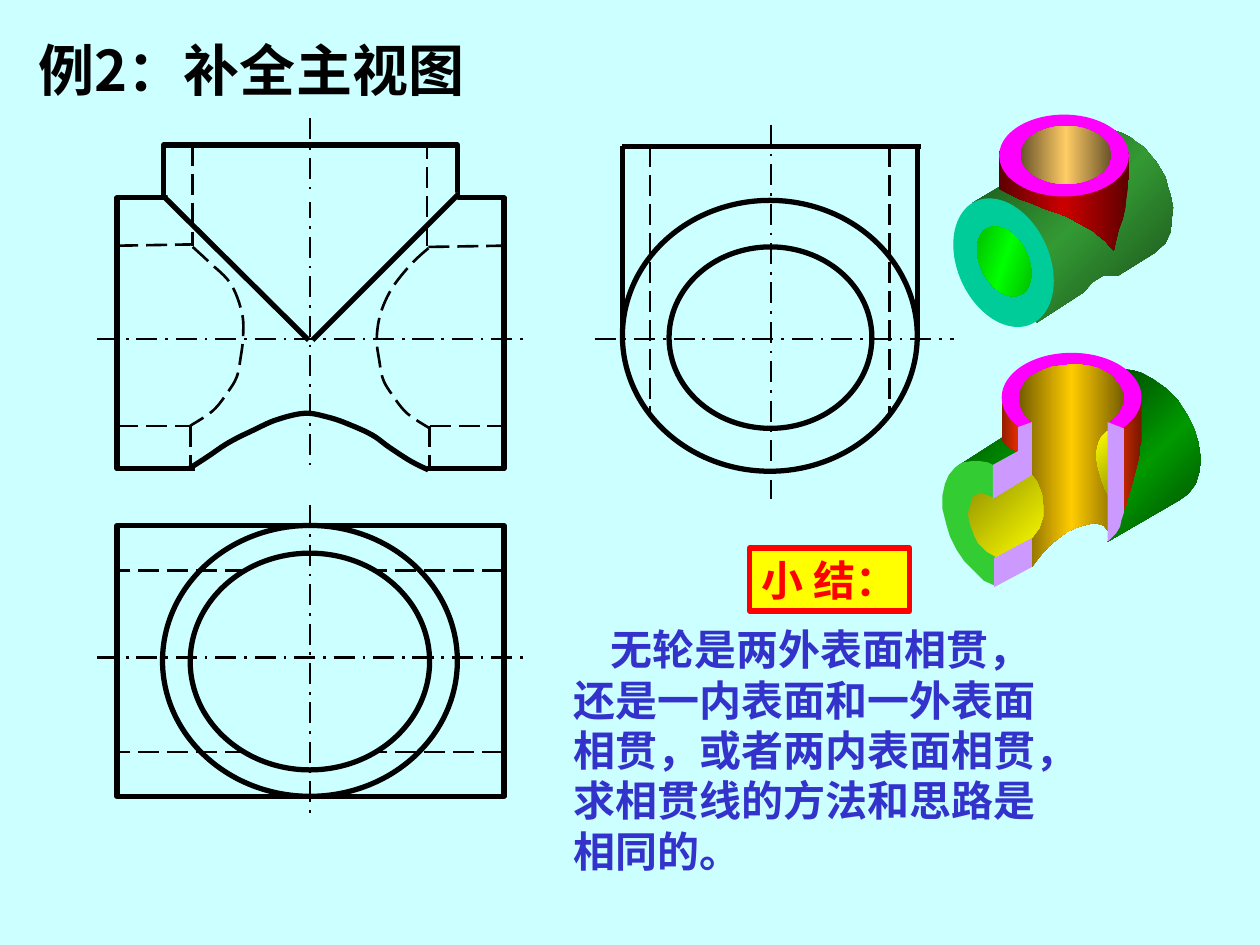
from copy import deepcopy

from pptx import Presentation
from pptx.dml.color import RGBColor
from pptx.enum.dml import MSO_LINE
from pptx.enum.shapes import MSO_CONNECTOR, MSO_SHAPE
from pptx.enum.text import MSO_ANCHOR, PP_ALIGN
from pptx.oxml.ns import qn
from pptx.util import Inches, Pt

COLORS = {
    "background": "CCFFFF", "black": "000000", "blue": "3333CC", "red": "FF0000",
    "yellow": "FFFF00", "magenta": "FF00FF", "teal": "00CC99", "green": "33CC33",
    "lilac": "CC99FF", "pipe": "339933", "pipe_dark": "184718", "branch": "CC0000",
    "branch_dark": "5E0000", "sand": "FFCC66", "sand_dark": "69542A", "lime": "00FF00",
    "lime_dark": "00A800", "leaf": "009900", "leaf_mid": "005E00", "leaf_dark": "004700",
    "orange": "FF3300", "orange_mid": "901D00", "orange_dark": "761800", "gold": "FFCC00",
    "gold_dark": "765E00", "olive": "8A8A00", "olive_light": "A2A200",
}
CJK_FONT = "Noto Sans CJK SC"
DASH, AXIS = MSO_LINE.LONG_DASH, MSO_LINE.LONG_DASH_DOT

AXES = [
    (6.12, 0.99, 6.12, 3.96), (0.77, 5.22, 4.19, 5.22), (0.77, 2.69, 4.19, 2.69),
    (2.46, 0.94, 2.46, 3.72), (2.46, 4.01, 2.46, 6.45), (4.72, 2.69, 7.57, 2.69),
]
HIDDEN_EDGES = [
    (1.53, 1.15, 1.53, 1.95), (3.39, 1.95, 3.39, 1.16), (1.51, 3.38, 1.51, 3.74),
    (3.41, 3.38, 3.41, 3.74), (0.93, 3.38, 1.51, 3.38), (3.41, 3.38, 3.99, 3.38),
    (0.93, 1.95, 1.52, 1.94), (3.4, 1.96, 3.99, 1.95), (5.16, 1.16, 5.16, 3.31),
    (7.06, 1.16, 7.06, 3.31),
] + [(x, y, x - 1.02, y) for y in (4.53, 5.97) for x in (3.99, 1.95)]
OUTLINES = [
    (MSO_SHAPE.OVAL, 1.29, 4.17, 2.34, 2.15), (MSO_SHAPE.OVAL, 4.94, 1.59, 2.34, 2.15),
    (MSO_SHAPE.RECTANGLE, 0.93, 4.17, 3.07, 2.15), (MSO_SHAPE.RECTANGLE, 0.93, 1.57, 3.07, 2.15),
    (MSO_SHAPE.RECTANGLE, 1.3, 1.15, 2.33, 0.42), (MSO_SHAPE.OVAL, 1.51, 4.39, 1.9, 1.72),
    (MSO_SHAPE.OVAL, 5.31, 1.96, 1.61, 1.44),
]
VISIBLE_EDGES = [(4.94, 2.66, 4.94, 1.16), (7.28, 2.66, 7.28, 1.16), (4.94, 1.16, 7.31, 1.16)]
CROSSING_EDGES = [(1.31, 1.57, 2.45, 2.7), (3.64, 1.54, 2.48, 2.7)]
LEFT_BORE_CURVE = [(1.53, 1.96), (1.66, 2.08), (1.83, 2.25), (1.92, 2.48), (1.93, 2.67),
                   (1.91, 2.84), (1.88, 2.99), (1.81, 3.11), (1.69, 3.26), (1.51, 3.38)]
RIGHT_BORE_CURVE = [(3.4, 1.97), (3.26, 2.1), (3.11, 2.29), (3.02, 2.49), (2.99, 2.69),
                    (3.01, 2.86), (3.04, 3.01), (3.11, 3.13), (3.23, 3.28), (3.41, 3.4)]
BOTTOM_CURVE = [(1.5, 3.72), (1.64, 3.63), (1.82, 3.51), (2.02, 3.41), (2.2, 3.33), (2.42, 3.28),
                (2.6, 3.31), (2.75, 3.36), (2.95, 3.45), (3.09, 3.55), (3.26, 3.66), (3.4, 3.73)]

WHOLE_PIPE = [
    (7.72, 1.61), (7.94, 1.48), (8.78, 1.78), (8.92, 1.45), (8.83, 1.03), (8.91, 1.06), (8.97, 1.09),
    (9.02, 1.13), (9.08, 1.17), (9.12, 1.22), (9.18, 1.29), (9.21, 1.34), (9.25, 1.41), (9.27, 1.49),
    (9.29, 1.55), (9.31, 1.65), (9.3, 1.73), (9.29, 1.84), (9.25, 1.93), (9.16, 2.01), (8.87, 2.19),
    (8.75, 2.19), (8.67, 2.24), (8.6, 2.32), (8.23, 2.56), (8.14, 1.78)]
WHOLE_BRANCH = [
    (7.93, 1.2), (7.93, 1.5), (8.01, 1.54), (8.09, 1.58), (8.18, 1.61), (8.3, 1.66), (8.42, 1.7),
    (8.49, 1.73), (8.56, 1.77), (8.67, 1.83), (8.73, 1.88), (8.78, 1.92), (8.81, 1.96), (8.84, 1.99),
    (8.86, 1.9), (8.88, 1.82), (8.91, 1.74), (8.93, 1.66), (8.94, 1.57), (8.95, 1.5), (8.96, 1.42),
    (8.96, 1.21)]
CUT_PIPE_TOP = [(7.6, 3.7), (7.96, 3.47), (8.11, 3.58), (7.87, 3.74)]
CUT_BRANCH_LEFT = [(7.95, 3.13), (7.95, 3.49), (7.98, 3.53), (8.04, 3.57), (8.1, 3.58), (8.12, 3.36)]
CUT_PIPE_BACK = [
    (8.91, 2.93), (8.99, 2.94), (9.06, 2.96), (9.15, 3.01), (9.25, 3.08), (9.35, 3.18), (9.42, 3.29),
    (9.48, 3.41), (9.51, 3.51), (9.53, 3.64), (9.52, 3.74), (9.49, 3.84), (9.43, 3.92), (9.36, 3.97),
    (8.79, 4.3), (8.88, 4.19), (8.91, 4.07), (8.93, 3.68), (8.97, 3.58), (8.98, 3.48)]
CUT_BRANCH_RIGHT = [(8.8, 3.44), (8.82, 3.62), (8.82, 4.14), (8.93, 4.03), (9, 3.79), (8.97, 3.89),
                    (9.02, 3.71), (9.04, 3.62), (9.06, 3.5), (9.06, 3.15)]
VERTICAL_BORE = [
    (8.19, 3.35), (8.15, 3.31), (8.11, 3.26), (8.09, 3.2), (8.09, 3.13), (8.1, 3.09), (8.13, 3.04),
    (8.19, 2.98), (8.27, 2.94), (8.35, 2.91), (8.44, 2.9), (8.53, 2.89), (8.63, 2.9), (8.71, 2.92),
    (8.77, 2.95), (8.82, 2.98), (8.88, 3.05), (8.92, 3.12), (8.92, 3.2), (8.88, 3.27), (8.85, 3.31),
    (8.81, 3.34), (8.8, 4.22), (8.76, 4.17), (8.69, 4.15), (8.6, 4.17), (8.54, 4.19), (8.47, 4.22),
    (8.39, 4.28), (8.32, 4.34), (8.25, 4.42), (8.19, 4.5)]
LEFT_BORE = [
    (7.88, 3.95), (7.94, 3.88), (8.02, 3.83), (8.19, 3.77), (8.23, 3.82), (8.27, 3.92), (8.28, 4.02),
    (8.28, 4.1), (8.25, 4.19), (8.19, 4.27), (7.89, 4.43), (7.75, 4.38), (7.61, 4), (7.69, 3.78)]
CUT_END_FACE = [
    (7.9, 3.96), (7.9, 3.7), (7.84, 3.67), (7.78, 3.66), (7.71, 3.66), (7.64, 3.67), (7.58, 3.71),
    (7.53, 3.77), (7.5, 3.84), (7.48, 3.93), (7.48, 4.04), (7.51, 4.16), (7.54, 4.26), (7.59, 4.36),
    (7.65, 4.45), (7.72, 4.52), (7.81, 4.61), (7.9, 4.65), (7.9, 4.42), (7.83, 4.38), (7.76, 4.31),
    (7.73, 4.25), (7.7, 4.17), (7.68, 4.08), (7.7, 4.01), (7.72, 3.94), (7.78, 3.91), (7.84, 3.93)]
SECTION_UPPER = [(8.08, 3.39), (8.19, 3.35), (8.19, 3.77), (7.88, 3.96), (7.88, 3.69), (8.08, 3.58)]
SECTION_LOWER = [(7.89, 4.43), (7.89, 4.66), (8.19, 4.5), (8.19, 4.27)]
RIGHT_BORE = [(8.79, 3.42), (8.74, 3.47), (8.72, 3.51), (8.7, 3.6), (8.71, 3.69), (8.73, 3.76),
              (8.75, 3.83), (8.78, 3.9), (8.8, 3.94)]
SECTION_RIGHT = [(8.79, 3.35), (8.92, 3.4), (8.92, 4.07), (8.9, 4.13), (8.89, 4.18), (8.86, 4.23),
                 (8.79, 4.3)]


def color(name):
    """Return the named colour."""
    return RGBColor.from_string(COLORS[name])


def style_line(line, width, dash=None, name="black"):
    """Set the colour, width and dash of a line."""
    line.color.rgb = color(name)
    line.width = Pt(width)
    if dash is not None:
        line.dash_style = dash


def add_line(slide, ends, width=3, dash=None, name="black"):
    """Draw a straight line without a shadow."""
    connector = slide.shapes.add_connector(MSO_CONNECTOR.STRAIGHT, *map(Inches, ends))
    style_line(connector.line, width, dash, name)
    properties = connector._element.spPr
    properties.append(properties.makeelement(qn("a:effectLst"), {}))


def add_outline(slide, kind, *box):
    """Draw an unfilled outline shape."""
    shape = slide.shapes.add_shape(kind, *map(Inches, box))
    shape.shadow.inherit = False
    shape.fill.background()
    style_line(shape.line, 3)


def build_polygon(shapes, points, close):
    """Build a freeform through points given in inches."""
    start, *rest = [(Inches(x), Inches(y)) for x, y in points]
    builder = shapes.build_freeform(*start)
    builder.add_line_segments(rest, close=close)
    shape = builder.convert_to_shape()
    shape.shadow.inherit = False
    return shape


def smooth_points(nodes, steps=6):
    """Interpolate a Catmull-Rom curve through the nodes."""
    padded = [nodes[0], *nodes, nodes[-1]]
    points = [nodes[0]]
    for a, b, c, d in zip(padded, padded[1:], padded[2:], padded[3:]):
        for t in (step / steps for step in range(1, steps + 1)):
            points.append(tuple(
                q + (r - p) * t / 2 + (2 * p - 5 * q + 4 * r - s) * t ** 2 / 2
                + (3 * q - p - 3 * r + s) * t ** 3 / 2 for p, q, r, s in zip(a, b, c, d)))
    return points


def add_curve(slide, nodes, width, dash=None):
    """Draw an open smooth curve."""
    shape = build_polygon(slide.shapes, smooth_points(nodes), False)
    shape.fill.background()
    style_line(shape.line, width, dash)


def paint(shape, names, angle=0):
    """Fill a borderless face with one colour or an even gradient."""
    shape.line.fill.background()
    if len(names) == 1:
        shape.fill.solid()
        shape.fill.fore_color.rgb = color(names[0])
        return
    shape.fill.gradient()
    shape.fill.gradient_angle = (360 - angle) % 360
    stop_list = shape._element.spPr.find(qn("a:gradFill")).find(qn("a:gsLst"))
    for _ in names[2:]:
        stop_list.append(deepcopy(stop_list[0]))
    for index, (stop, name) in enumerate(zip(shape.fill.gradient_stops, names)):
        stop.color.rgb = color(name)
        stop.position = index / (len(names) - 1)


def add_face(group, points, *names, angle=0):
    """Add a polygonal face to a solid."""
    paint(build_polygon(group.shapes, points, True), names, angle)


def add_ring(group, box, *names, angle=0, rotation=0):
    """Add an elliptical face to a solid."""
    shape = group.shapes.add_shape(MSO_SHAPE.OVAL, *map(Inches, box))
    shape.shadow.inherit = False
    shape.rotation = rotation
    paint(shape, names, angle)


def write_text(shape, text, size, name, font=CJK_FONT, align=PP_ALIGN.LEFT, indent=0):
    """Write one bold paragraph centred vertically in a shape."""
    frame = shape.text_frame
    frame.text = text
    frame.word_wrap = True
    frame.vertical_anchor = MSO_ANCHOR.MIDDLE
    paragraph = frame.paragraphs[0]
    paragraph.alignment = align
    if indent:
        paragraph._p.get_or_add_pPr().set("indent", str(Inches(indent)))
    run = paragraph.runs[0]
    run.font.name, run.font.size, run.font.bold = font, Pt(size), True
    run.font.color.rgb = color(name)
    properties = run._r.get_or_add_rPr()
    properties.append(properties.makeelement(qn("a:ea"), {"typeface": CJK_FONT}))


def add_text(slide, box, text, size, name, **options):
    """Add a text box."""
    write_text(slide.shapes.add_textbox(*map(Inches, box)), text, size, name, **options)


def add_views(slide):
    """Draw the three orthographic views."""
    for ends in AXES:
        add_line(slide, ends, 1.5, AXIS)
    for outline in OUTLINES:
        add_outline(slide, *outline)
    for ends in VISIBLE_EDGES:
        add_line(slide, ends)
    add_line(slide, (1.33, 1.55, 3.63, 1.57), 6, name="background")
    add_line(slide, (1.55, 3.72, 3.39, 3.72), 4.5, name="background")
    for ends in CROSSING_EDGES:
        add_line(slide, ends)
    for ends in HIDDEN_EDGES:
        add_line(slide, ends, 1.5, DASH)
    for nodes in (LEFT_BORE_CURVE, RIGHT_BORE_CURVE):
        add_curve(slide, nodes, 1.5, DASH)
    add_curve(slide, BOTTOM_CURVE, 3)


def add_whole_solid(slide):
    """Draw the complete pipe tee."""
    group = slide.shapes.add_group_shape()
    add_face(group, WHOLE_PIPE, "pipe_dark", "pipe", "pipe_dark", angle=45)
    add_face(group, WHOLE_BRANCH, "branch_dark", "branch", "branch_dark")
    add_ring(group, (7.93, 0.91, 1.03, 0.65), "magenta")
    add_ring(group, (8.1, 1, 0.72, 0.46), "sand_dark", "sand", "sand_dark")
    add_ring(group, (7.6, 1.55, 0.73, 1.07), "teal", rotation=335.7)
    add_ring(group, (7.78, 1.78, 0.38, 0.59), "lime_dark", "lime", "lime_dark",
             angle=45, rotation=333.3)


def add_cut_solid(slide):
    """Draw the sectioned pipe tee."""
    group = slide.shapes.add_group_shape()
    add_face(group, CUT_PIPE_TOP, "leaf_mid", "leaf", angle=45)
    add_face(group, CUT_BRANCH_LEFT, "orange_mid", "orange")
    add_face(group, CUT_PIPE_BACK, "leaf_dark", "leaf", "leaf_dark", angle=45)
    add_face(group, CUT_BRANCH_RIGHT, "orange", "orange_dark")
    add_ring(group, (7.95, 2.8, 1.11, 0.71), "magenta")
    add_face(group, VERTICAL_BORE, "gold_dark", "gold", "gold_dark")
    add_face(group, LEFT_BORE, "olive", "yellow", angle=45)
    add_face(group, CUT_END_FACE, "green")
    add_face(group, SECTION_UPPER, "lilac")
    add_face(group, SECTION_LOWER, "lilac")
    add_face(group, RIGHT_BORE, "yellow", "olive_light", angle=45)
    add_face(group, SECTION_RIGHT, "lilac")


def add_summary_label(slide):
    """Add the framed summary heading."""
    shape = slide.shapes.add_shape(MSO_SHAPE.RECTANGLE, *map(Inches, (5.95, 4.35, 1.27, 0.5)))
    shape.shadow.inherit = False
    shape.fill.solid()
    shape.fill.fore_color.rgb = color("yellow")
    style_line(shape.line, 3, name="red")
    write_text(shape, "小 结：", 24, "red", font="Times New Roman", align=PP_ALIGN.CENTER)
    shape.text_frame.word_wrap = False


def main():
    """Build and save the slide."""
    presentation = Presentation()
    presentation.slide_width, presentation.slide_height = Inches(10), Inches(7.5)
    slide = presentation.slides.add_slide(presentation.slide_layouts[6])
    slide.background.fill.solid()
    slide.background.fill.fore_color.rgb = color("background")
    add_views(slide)
    add_text(slide, (0.21, 0.23, 3.78, 0.64), "例2：补全主视图", 32, "black")
    add_text(slide, (4.45, 4.9, 4.16, 2.1),
             "无轮是两外表面相贯，还是一内表面和一外表面相贯，或者两内表面相贯，"
             "求相贯线的方法和思路是相同的。", 24, "blue", indent=0.3)
    add_summary_label(slide)
    add_whole_solid(slide)
    add_cut_solid(slide)
    presentation.save("out.pptx")


if __name__ == "__main__":
    main()
